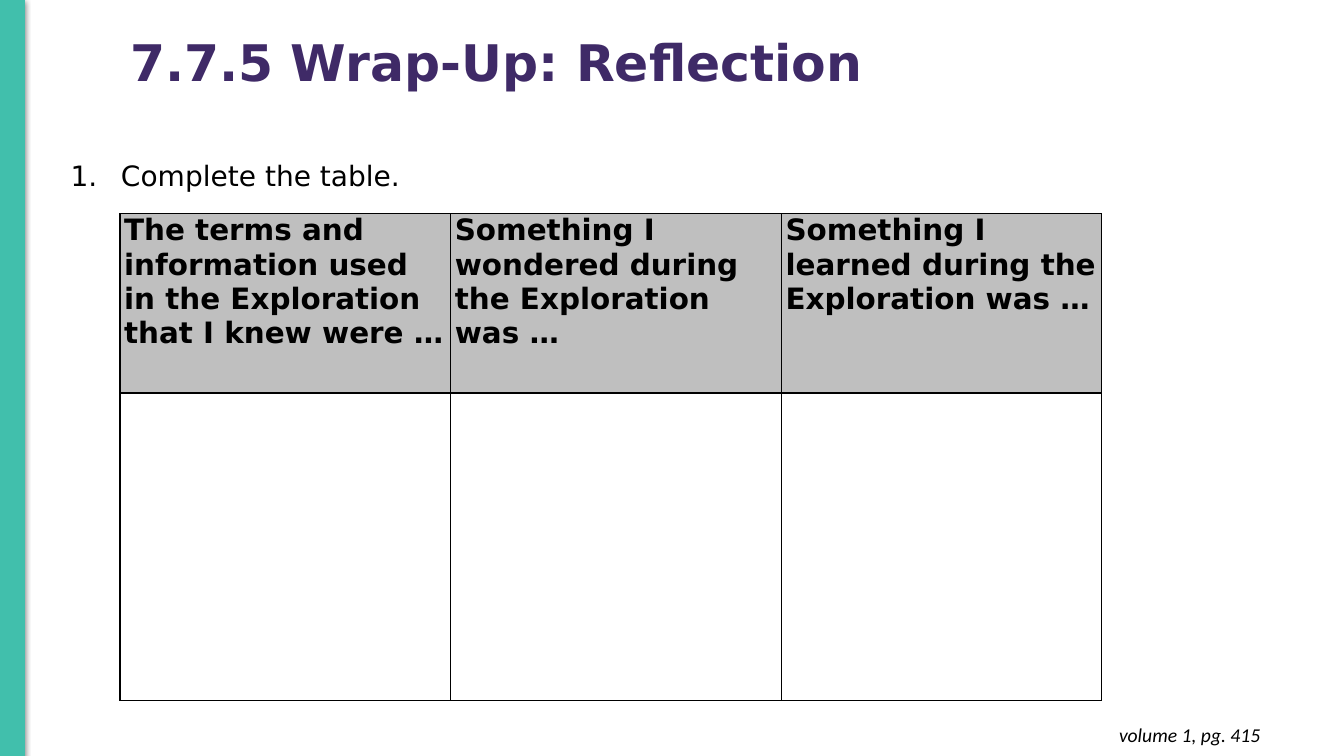
from lxml import etree
from pptx import Presentation
from pptx.dml.color import RGBColor
from pptx.enum.shapes import MSO_SHAPE
from pptx.enum.text import MSO_ANCHOR, MSO_AUTO_SIZE, PP_ALIGN
from pptx.oxml import parse_xml
from pptx.oxml.ns import qn
from pptx.util import Inches, Pt

RECT = MSO_SHAPE.RECTANGLE
TOP, MIDDLE = MSO_ANCHOR.TOP, MSO_ANCHOR.MIDDLE
FIXED, GROW = MSO_AUTO_SIZE.NONE, MSO_AUTO_SIZE.SHAPE_TO_FIT_TEXT
LEFT, RIGHT = PP_ALIGN.LEFT, PP_ALIGN.RIGHT
NS = 'xmlns:a="http://schemas.openxmlformats.org/drawingml/2006/main"'
SHADOW = (f'<a:effectLst {NS}><a:outerShdw blurRad="57150" dist="19050" dir="5400000">'
          '<a:srgbClr val="000000"><a:alpha val="50000"/></a:srgbClr>'
          '</a:outerShdw></a:effectLst>')

HEADS = [
    "The terms and information used in the Exploration that I knew were …",
    "Something I wondered during the Exploration was …",
    "Something I learned during the Exploration was …",
]


def color(code):
    return RGBColor.from_string(code)


class Page:
    """One slide and its style; lengths are percent of the slide's size."""
    font, ink, plum = "DejaVu Sans", "000000", "3F2A67"
    teal, gray = "41BFAC", "BFBFBF"

    def __init__(self, deck):
        self.wide, self.high = deck.slide_width, deck.slide_height
        self.slide = deck.slides.add_slide(deck.slide_layouts[1])
        self.shapes = self.slide.shapes

    def x(self, share):
        return round(self.wide * share / 100)

    def y(self, share):
        return round(self.high * share / 100)

    def box(self, left, top, width, height):
        return self.x(left), self.y(top), self.x(width), self.y(height)

    def style(self, para, size, code, font=None, bold=False, italic=False):
        for run in para.runs:
            face = run.font
            face.name, face.size = font or self.font, Pt(size)
            face.bold, face.italic = bold, italic
            face.color.rgb = color(code)

    def text(self, shape, box, words, size, code, fit=FIXED, anchor=TOP,
             align=LEFT, pad=0.05, **look):
        shape.left, shape.top, shape.width, shape.height = self.box(*box)
        frame = shape.text_frame
        frame.text = words
        frame.word_wrap, frame.auto_size = True, fit
        frame.vertical_anchor = anchor
        frame.margin_left = frame.margin_right = Inches(0.1)
        frame.margin_top = frame.margin_bottom = Inches(pad)
        para = frame.paragraphs[0]
        para.alignment, para.space_before = align, Pt(0)
        self.style(para, size, code, **look)
        return para

    def title(self, box, words):
        para = self.text(self.shapes.title, box, words, 36, self.plum,
                         anchor=MIDDLE, bold=True)
        para.line_spacing = 0.9

    def task(self, box, words):
        para = self.text(self.slide.placeholders[1], box, words, 20, self.ink, GROW)
        props = para._p.get_or_add_pPr()
        props.set("marL", str(Inches(0.5)))
        props.set("indent", str(-Inches(0.5)))
        tint = etree.SubElement(props, qn("a:buClr"))
        etree.SubElement(tint, qn("a:srgbClr"), val=self.ink)
        etree.SubElement(props, qn("a:buFont"), typeface=self.font)
        etree.SubElement(props, qn("a:buAutoNum"), type="arabicPeriod")

    def note(self, box, words):
        shape = self.shapes.add_textbox(*self.box(*box))
        self.text(shape, box, words, 14, self.ink, GROW, align=RIGHT, pad=0.1,
                  font="Calibri", italic=True)

    def bar(self, box):
        shape = self.shapes.add_shape(RECT, *self.box(*box))
        shape.fill.solid()
        shape.fill.fore_color.rgb = shape.line.color.rgb = color(self.teal)
        shape.line.width = Pt(0.75)
        shape._element.spPr.append(parse_xml(SHADOW))

    def frame(self, cell):
        props = cell._tc.get_or_add_tcPr()
        for side in ("lnL", "lnR", "lnT", "lnB"):
            line = etree.SubElement(props, qn(f"a:{side}"), w=str(Pt(1)))
            fill = etree.SubElement(line, qn("a:solidFill"))
            etree.SubElement(fill, qn("a:srgbClr"), val=self.ink)

    def table(self, left, top, cols, rows, heads):
        box = self.box(left, top, sum(cols), sum(rows))
        grid = self.shapes.add_table(len(rows), len(cols), *box).table
        for col, width in zip(grid.columns, cols):
            col.width = self.x(width)
        for row, height in zip(grid.rows, rows):
            row.height = self.y(height)
        for cell in grid.iter_cells():
            self.frame(cell)
            cell.fill.background()
        for cell, words in zip(grid.rows[0].cells, heads):
            cell.text = words
            cell.margin_left = cell.margin_right = Inches(0.04)
            cell.margin_top = cell.margin_bottom = 0
            cell.fill.solid()
            cell.fill.fore_color.rgb = color(self.gray)
            self.style(cell.text_frame.paragraphs[0], 21, self.ink, bold=True)


def main():
    deck = Presentation()
    deck.slide_width, deck.slide_height = Inches(13.33), Inches(7.5)
    page = Page(deck)

    # Page reference
    page.note((72.92, 94.27, 21.61, 5.87), "volume 1, pg. 415")
    # Heading and task
    page.title((8.93, -1.07, 65.79, 19.33), "7.7.5 Wrap-Up: Reflection")
    page.task((4.5, 20.27, 68.34, 5.87), "Complete the table.")
    # Side band
    page.bar((0, 0, 1.8, 100))
    # Reflection table
    page.table(8.93, 28.27, (24.61, 24.61, 23.78), (23.73, 40.67), HEADS)

    deck.save("out.pptx")


if __name__ == "__main__":
    main()
